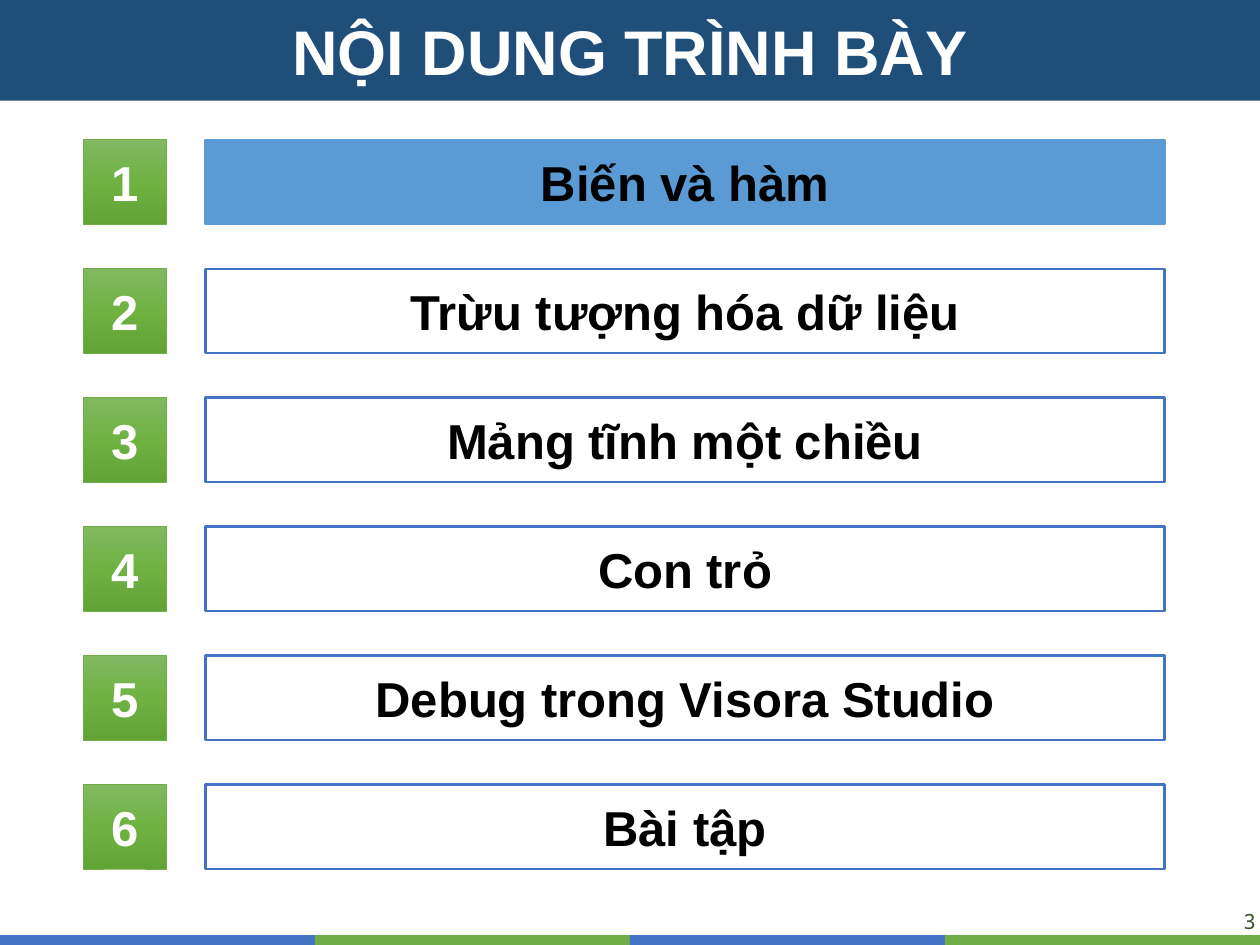
from copy import deepcopy

from pptx import Presentation
from pptx.dml.color import RGBColor
from pptx.enum.shapes import MSO_SHAPE
from pptx.enum.text import MSO_ANCHOR, MSO_AUTO_SIZE, PP_ALIGN
from pptx.oxml.ns import qn
from pptx.util import Cm, Pt

RECTANGLE = MSO_SHAPE.RECTANGLE
MIDDLE = MSO_ANCHOR.MIDDLE
NO_AUTOFIT = MSO_AUTO_SIZE.NONE
CENTER = PP_ALIGN.CENTER
RIGHT = PP_ALIGN.RIGHT

COLORS = {
    "navy": "1F4E79",
    "blue": "4472C4",
    "highlight": "5B9BD5",
    "green": "70AD47",
    "dark_green": "385723",
    "white": "FFFFFF",
    "black": "000000",
}
BADGE_GRADIENT = [(0, "81B861"), (0.5, "6FB242"), (1, "62A336")]
TOPICS = [
    "Biến và hàm",
    "Trừu tượng hóa dữ liệu",
    "Mảng tĩnh một chiều",
    "Con trỏ",
    "Debug trong Visora Studio",
    "Bài tập",
]
CURRENT_TOPIC = 1
SLIDE_WIDTH, SLIDE_HEIGHT = 25.4, 19.05
STRIP_HEIGHT = 0.2
FIRST_TOP, ROW_PITCH, ROW_HEIGHT = 2.82, 2.6, 1.7
BADGE_LEFT, BADGE_WIDTH = 1.68, 1.68
TOPIC_LEFT, TOPIC_WIDTH = 4.14, 19.34


def color(name):
    return RGBColor.from_string(COLORS[name])


def fill_solid(shape, name):
    shape.fill.solid()
    shape.fill.fore_color.rgb = color(name)


def set_text(shape, text, size, color_name, font="Arial", bold=True, align=CENTER):
    text_frame = shape.text_frame
    text_frame.text = text
    text_frame.word_wrap = True
    text_frame.vertical_anchor = MIDDLE
    paragraph = text_frame.paragraphs[0]
    paragraph.alignment = align
    run_font = paragraph.runs[0].font
    run_font.name = font
    run_font.size = Pt(size)
    run_font.bold = bold
    run_font.color.rgb = color(color_name)


def add_rectangle(slide, left, top, width, height, line=None, line_width=0):
    shape = slide.shapes.add_shape(RECTANGLE, Cm(left), Cm(top), Cm(width), Cm(height))
    shape.shadow.inherit = False
    if line:
        shape.line.color.rgb = color(line)
        shape.line.width = Pt(line_width)
    else:
        shape.line.fill.background()
    return shape


def add_title(slide, text):
    title = slide.shapes.title
    title.left, title.top = Cm(0), Cm(0)
    title.width, title.height = Cm(SLIDE_WIDTH), Cm(2.03)
    fill_solid(title, "navy")
    set_text(title, text, 36, "white")
    title.text_frame.auto_size = NO_AUTOFIT


def add_footer_strips(slide):
    width = SLIDE_WIDTH / 4
    for index, name in enumerate(["blue", "green"] * 2):
        strip = add_rectangle(
            slide, index * width, SLIDE_HEIGHT - STRIP_HEIGHT, width, STRIP_HEIGHT
        )
        fill_solid(strip, name)


def add_page_number(slide, number):
    box = slide.shapes.add_textbox(Cm(22.07), Cm(18.31), Cm(3.33), Cm(0.51))
    text_frame = box.text_frame
    text_frame.margin_left = text_frame.margin_right = Cm(0.08)
    text_frame.margin_top = text_frame.margin_bottom = Cm(0)
    set_text(box, str(number), 12, "dark_green", "Noto Sans Mono", False, RIGHT)


def add_badge(slide, number, top):
    badge = add_rectangle(slide, BADGE_LEFT, top, BADGE_WIDTH, ROW_HEIGHT, "green", 0.5)
    badge.fill.gradient()
    badge.fill.gradient_angle = 270
    stop_list = badge.element.spPr.find(".//" + qn("a:gsLst"))
    stop_list.append(deepcopy(stop_list[0]))
    for stop, (position, value) in zip(badge.fill.gradient_stops, BADGE_GRADIENT):
        stop.position = position
        stop.color.rgb = RGBColor.from_string(value)
    set_text(badge, str(number), 28, "white")


def add_topic(slide, text, top, current):
    line = "highlight" if current else "blue"
    box = add_rectangle(slide, TOPIC_LEFT, top, TOPIC_WIDTH, ROW_HEIGHT, line, 1.5)
    if current:
        fill_solid(box, "highlight")
    else:
        box.fill.background()
    set_text(box, text, 28, "black")


def main():
    presentation = Presentation()
    presentation.slide_width = Cm(SLIDE_WIDTH)
    presentation.slide_height = Cm(SLIDE_HEIGHT)
    slide = presentation.slides.add_slide(presentation.slide_layouts[5])
    add_title(slide, "NỘI DUNG TRÌNH BÀY")
    add_footer_strips(slide)
    add_page_number(slide, 3)
    for number, topic in enumerate(TOPICS, start=1):
        top = FIRST_TOP + (number - 1) * ROW_PITCH
        add_badge(slide, number, top)
        add_topic(slide, topic, top, number == CURRENT_TOPIC)
    presentation.save("out.pptx")


if __name__ == "__main__":
    main()
